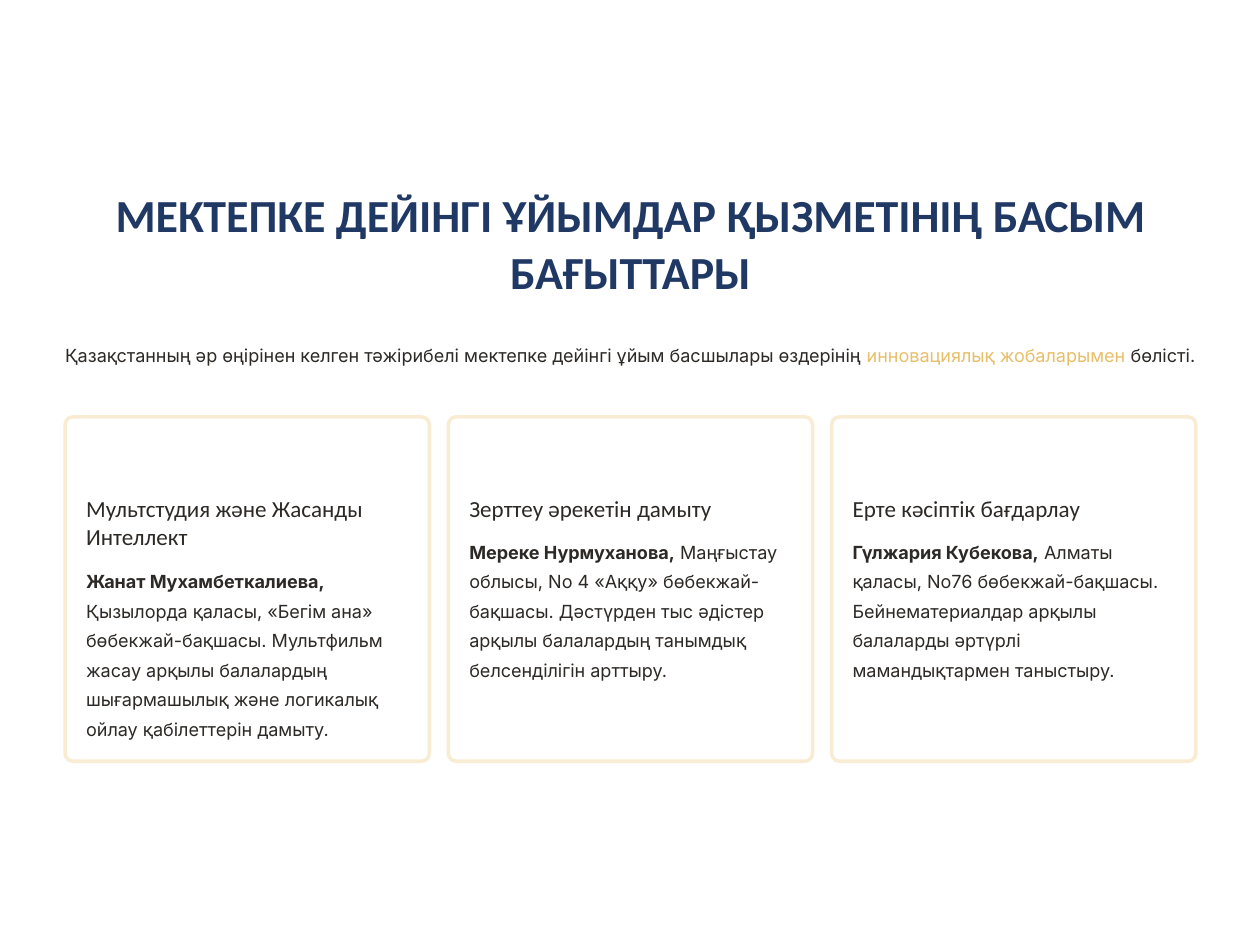
"""Build the slide on priority areas of preschool organisations."""
from pptx import Presentation
from pptx.dml.color import RGBColor
from pptx.enum.shapes import MSO_SHAPE
from pptx.enum.text import MSO_ANCHOR, MSO_AUTO_SIZE, PP_ALIGN
from pptx.util import Inches, Pt

NAVY = RGBColor(0x20, 0x38, 0x64)
INK = RGBColor(0x2C, 0x29, 0x26)
GOLD = RGBColor(0xE7, 0xBF, 0x6A)
CREAM = RGBColor(0xF8, 0xEC, 0xD3)
WHITE = RGBColor(0xFF, 0xFF, 0xFF)

TITLE = "МЕКТЕПКЕ ДЕЙІНГІ ҰЙЫМДАР ҚЫЗМЕТІНІҢ БАСЫМ БАҒЫТТАРЫ"
INTRO = [
    ("Қазақстанның әр өңірінен келген тәжірибелі мектепке дейінгі ұйым басшылары өздерінің ", {}),
    ("инновациялық жобаларымен", {"color": GOLD}),
    (" бөлісті.", {}),
]
PROJECTS = [
    ("Мультстудия және Жасанды Интеллект", 2, "Жанат Мухамбеткалиева,",
     " Қызылорда қаласы, «Бегім ана» бөбекжай-бақшасы. Мультфильм жасау арқылы "
     "балалардың шығармашылық және логикалық ойлау қабілеттерін дамыту."),
    ("Зерттеу әрекетін дамыту", 1, "Мереке Нурмуханова,",
     " Маңғыстау облысы, No 4 «Аққу» бөбекжай-бақшасы. Дәстүрден тыс әдістер "
     "арқылы балалардың танымдық белсенділігін арттыру."),
    ("Ерте кәсіптік бағдарлау", 1, "Гүлжария Кубекова,",
     " Алматы қаласы, No76 бөбекжай-бақшасы. Бейнематериалдар арқылы балаларды "
     "әртүрлі мамандықтармен таныстыру."),
]

TITLE_STYLE = {"name": "Calibri", "size": Pt(31.5), "bold": True, "color": NAVY}
HEADING_STYLE = {"name": "Calibri", "size": Pt(15.8), "bold": False, "color": INK}
BODY_STYLE = {"name": "Inter", "size": Pt(12.4), "bold": False, "color": INK}

LEFT, WIDTH = 0.62, 10.77
CARD_TOP, CARD_WIDTH, CARD_HEIGHT = 3.97, 3.47, 3.28
CARD_STEP = (WIDTH - CARD_WIDTH) / (len(PROJECTS) - 1)
PADDING = 0.2
HEADING_TOP, HEADING_LINE, HEADING_GAP = 4.7, 0.28, 0.1


def write(holder, runs, style, line_spacing, align=PP_ALIGN.LEFT):
    """Fill a text holder with one paragraph of styled runs."""
    frame = holder.text_frame
    frame_format = {
        "margin_left": 0, "margin_right": 0, "margin_top": 0, "margin_bottom": 0,
        "word_wrap": True, "auto_size": MSO_AUTO_SIZE.NONE,
        "vertical_anchor": MSO_ANCHOR.TOP,
    }
    for key, value in frame_format.items():
        setattr(frame, key, value)
    paragraph = frame.paragraphs[0]
    paragraph.alignment = align
    paragraph.line_spacing = Pt(line_spacing)
    for text, changes in runs:
        run = paragraph.add_run()
        run.text = text
        for key, value in {**style, **changes}.items():
            if key == "color":
                run.font.color.rgb = value
            else:
                setattr(run.font, key, value)


def add_text(slide, left, top, width, height, *text):
    """Add a text box and write into it."""
    box = slide.shapes.add_textbox(Inches(left), Inches(top), Inches(width), Inches(height))
    write(box, *text)


def add_card(slide, left, heading, heading_lines, person, project):
    """Add one bordered project card."""
    card = slide.shapes.add_shape(
        MSO_SHAPE.ROUNDED_RECTANGLE, Inches(left), Inches(CARD_TOP),
        Inches(CARD_WIDTH), Inches(CARD_HEIGHT))
    card.adjustments[0] = 0.023
    card.shadow.inherit = False
    card.fill.solid()
    card.fill.fore_color.rgb = WHITE
    card.line.color.rgb = CREAM
    card.line.width = Pt(2.4)

    text_left, text_width = left + PADDING, CARD_WIDTH - 2 * PADDING
    heading_height = heading_lines * HEADING_LINE
    body_top = HEADING_TOP + heading_height + HEADING_GAP
    body_height = CARD_TOP + CARD_HEIGHT - PADDING - body_top
    add_text(slide, text_left, HEADING_TOP, text_width, heading_height,
             [(heading, {})], HEADING_STYLE, 19.5)
    add_text(slide, text_left, body_top, text_width, body_height,
             [(person, {"bold": True}), (project, {})], BODY_STYLE, 20.2)


def main():
    """Assemble and save the slide."""
    deck = Presentation()
    deck.slide_width, deck.slide_height = Inches(12), Inches(9)
    slide = deck.slides.add_slide(deck.slide_layouts[5])

    title = slide.shapes.title
    title_place = {"left": LEFT, "top": 1.75, "width": WIDTH, "height": 1.1}
    for key, value in title_place.items():
        setattr(title, key, Inches(value))
    write(title, [(TITLE, {})], TITLE_STYLE, 39.4, PP_ALIGN.CENTER)

    add_text(slide, LEFT, 3.21, WIDTH, 0.56, INTRO, BODY_STYLE, 20.2)
    for column, project in enumerate(PROJECTS):
        add_card(slide, LEFT + column * CARD_STEP, *project)
    deck.save("out.pptx")


if __name__ == "__main__":
    main()
